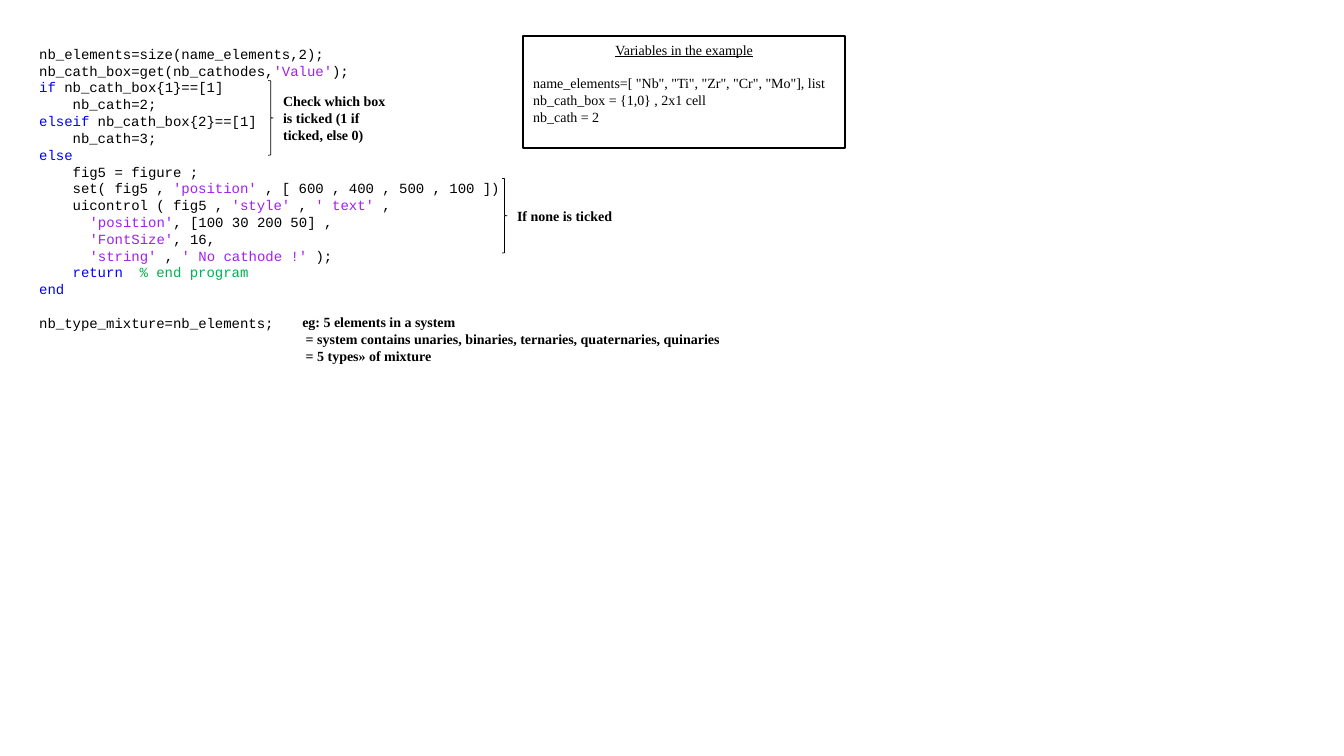
from pptx import Presentation
from pptx.dml.color import RGBColor
from pptx.enum.shapes import MSO_SHAPE
from pptx.enum.text import MSO_ANCHOR, PP_ALIGN
from pptx.util import Inches, Pt

# Grid: one column is a code character, one row is a line of text
COLUMN, ROW = 1 / 12, 1 / 6
ORIGIN_LEFT, ORIGIN_TOP = 0.39, 0.45
LINE_HEIGHT = Pt(12)

BLACK, KEYWORD, STRING, REMARK = "000000", "0000FF", "A020F0", "00B050"
CODE = {"name": "Courier New", "size": Pt(10)}
PLAIN = {"name": "Times New Roman", "size": Pt(10)}
BOLD = {**PLAIN, "bold": True}
UNDERLINED = {**PLAIN, "underline": True}

KEYWORDS = ("if", "elseif", "else", "return", "end")
PROGRAM = """nb_elements=size(name_elements,2);
nb_cath_box=get(nb_cathodes,'Value');
if nb_cath_box{1}==[1]
    nb_cath=2;
elseif nb_cath_box{2}==[1]
    nb_cath=3;
else
    fig5 = figure ;
    set( fig5 , 'position' , [ 600 , 400 , 500 , 100 ])
    uicontrol ( fig5 , 'style' , ' text' ,
\t'position', [100 30 200 50] ,
\t'FontSize', 16,
\t'string' , ' No cathode !' );
    return  % end program
end

nb_type_mixture=nb_elements;"""
VARIABLES = [
    'name_elements=[ "Nb", "Ti", "Zr", "Cr", "Mo"], list',
    "nb_cath_box = {1,0} , 2x1 cell",
    "nb_cath = 2",
]
MIXTURES = [
    "eg: 5 elements in a system",
    " = system contains unaries, binaries, ternaries, quaternaries, quinaries",
    " = 5 types» of mixture",
]


def color(hex_value):
    return RGBColor.from_string(hex_value)


def place(box):
    """Turn left, top, width and height in grid units into lengths."""
    left, top, width, height = box
    return (Inches(ORIGIN_LEFT + left * COLUMN), Inches(ORIGIN_TOP + top * ROW),
            Inches(width * COLUMN), Inches(height * ROW))


def add_run(paragraph, text, text_format, hex_value=BLACK):
    run = paragraph.add_run()
    run.text = text
    for name, value in text_format.items():
        setattr(run.font, name, value)
    run.font.color.rgb = color(hex_value)


def write_lines(frame, lines):
    """Write lines of (runs, paragraph format); a run is text, format, colour."""
    frame.word_wrap = True
    frame.vertical_anchor = MSO_ANCHOR.TOP
    for index, (runs, paragraph_format) in enumerate(lines):
        paragraph = frame.add_paragraph() if index else frame.paragraphs[0]
        for name, value in paragraph_format.items():
            setattr(paragraph, name, value)
        for run in runs:
            add_run(paragraph, *run)


def add_outline(slide, kind, box, line_width):
    shape = slide.shapes.add_shape(kind, *place(box))
    shape.shadow.inherit = False
    shape.fill.background()
    shape.line.color.rgb = color(BLACK)
    shape.line.width = Pt(line_width)
    return shape


def color_code(line):
    """Split a line of code into coloured runs."""
    code, percent, remark = line.partition("%")
    runs = []
    for index, part in enumerate(code.split("'")):
        if index % 2:
            runs.append((f"'{part}'", CODE, STRING))
            continue
        word = part.strip().split(" ")[0]
        if index == 0 and word in KEYWORDS:
            end = part.index(word) + len(word)
            runs.append((part[:end], CODE, KEYWORD))
            part = part[end:]
        if part:
            runs.append((part, CODE))
    if percent:
        runs.append((percent + remark, CODE, REMARK))
    return runs


def add_program(slide, box):
    frame = slide.shapes.add_textbox(*place(box)).text_frame
    lines, gap = [], {}
    for line in PROGRAM.split("\n"):
        if line:
            lines.append((color_code(line), gap))
        gap = {} if line else {"space_before": LINE_HEIGHT}
    write_lines(frame, lines)


def add_variables(slide, box):
    frame = add_outline(slide, MSO_SHAPE.RECTANGLE, box, 1.5).text_frame
    title = ([("Variables in the example", UNDERLINED)],
             {"alignment": PP_ALIGN.CENTER, "space_after": LINE_HEIGHT})
    write_lines(frame, [title] + [([(text, PLAIN)], {"alignment": PP_ALIGN.LEFT})
                                  for text in VARIABLES])


def add_note(slide, box, texts):
    frame = slide.shapes.add_textbox(*place(box)).text_frame
    write_lines(frame, [([(text, BOLD)], {}) for text in texts])


def add_braced_note(slide, box, text, note_height):
    """Draw a brace in the box and a note centred on its right side."""
    left, top, width, height = box
    add_outline(slide, MSO_SHAPE.RIGHT_BRACE, box, 0.5)
    note_top = top + (height - note_height) / 2
    add_note(slide, (left + width, note_top, 14.76, note_height), [text])


def build_slide(presentation):
    slide = presentation.slides.add_slide(presentation.slide_layouts[6])
    # Program and its variables
    add_program(slide, (-1.2, -0.3, 66.24, 19.8))
    add_variables(slide, (57.6, -0.54, 38.28, 6.66))
    # Remarks beside the code
    add_braced_note(slide, (27.24, 2.1, 0.6, 4.44),
                    "Check which box is ticked (1 if ticked, else 0)", 3.6)
    add_braced_note(slide, (55.08, 7.92, 0.6, 4.44), "If none is ticked", 1.6)
    add_note(slide, (30.12, 15.66, 71.64, 3.66), MIXTURES)


def main():
    presentation = Presentation()
    presentation.slide_width = Inches(13.33)
    presentation.slide_height = Inches(7.5)
    build_slide(presentation)
    presentation.save("out.pptx")


if __name__ == "__main__":
    main()
